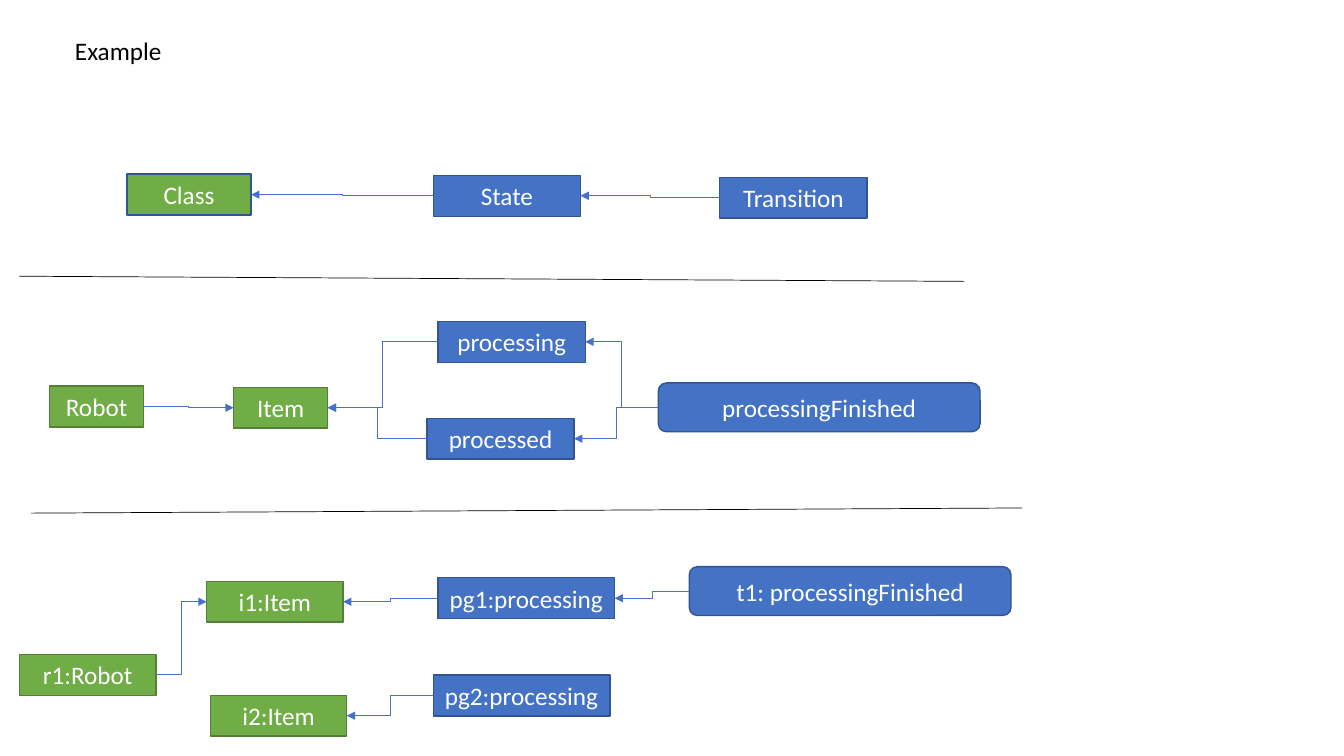
"""Build a slide showing a class, state and transition example on three levels."""
from lxml.etree import SubElement
from pptx import Presentation
from pptx.dml.color import RGBColor
from pptx.enum.shapes import MSO_CONNECTOR as Link, MSO_SHAPE as Preset
from pptx.enum.text import MSO_ANCHOR as Anchor, PP_ALIGN as Align
from pptx.oxml.ns import qn
from pptx.util import Cm, Pt

COLORS = {
    "green": "70AD47", "green_edge": "538035",
    "blue": "4472C4", "blue_edge": "325491",
    "white": "FFFFFF", "black": "000000",
}
FONT = {"name": "Calibri", "size": Pt(18)}
RECT, ROUND = Preset.RECTANGLE, Preset.ROUNDED_RECTANGLE
LEFT_SITE, RIGHT_SITE = 1, 3

STYLES = {
    "class": (RECT, 3.13, 1.03, "green", "blue_edge"),
    "type": (RECT, 2.37, 1.03, "green", "green_edge"),
    "object": (RECT, 3.44, 1.03, "green", "green_edge"),
    "state": (RECT, 3.71, 1.03, "blue", "blue_edge"),
    "state object": (RECT, 4.45, 1.03, "blue", "blue_edge"),
    "transition": (ROUND, 8.11, 1.23, "blue", "blue_edge"),
}
NODES = [
    ("Class", "class", 3.2, 4.39),
    ("State", "state", 10.92, 4.42),
    ("Transition", "state", 18.14, 4.47),
    ("Robot", "type", 1.25, 9.73),
    ("Item", "type", 5.89, 9.76),
    ("processing", "state", 11.04, 8.1),
    ("processed", "state", 10.76, 10.54),
    ("processingFinished", "transition", 16.59, 9.65),
    ("r1:Robot", "object", 0.49, 16.49),
    ("i1:Item", "object", 5.21, 14.65),
    ("i2:Item", "object", 5.3, 17.52),
    ("pg1:processing", "state object", 11.04, 14.56),
    ("pg2:processing", "state object", 10.92, 17.01),
    ("t1: processingFinished", "transition", 17.37, 14.28),
]
ARROWS = [
    ("State", "Class"),
    ("Transition", "State"),
    ("Robot", "Item"),
    ("processing", "Item"),
    ("processed", "Item"),
    ("processingFinished", "processing"),
    ("processingFinished", "processed"),
    ("r1:Robot", "i1:Item"),
    ("pg1:processing", "i1:Item"),
    ("pg2:processing", "i2:Item"),
    ("t1: processingFinished", "pg1:processing"),
]
DIVIDERS = [(0.49, 6.96, 24.3, 7.09), (0.78, 12.93, 25.76, 12.8)]


def rgb(color):
    return RGBColor.from_string(COLORS[color])


def write(shape, text, color, align, **frame_format):
    frame = shape.text_frame
    for key, value in frame_format.items():
        setattr(frame, key, value)
    paragraph = frame.paragraphs[0]
    paragraph.alignment = align
    run = paragraph.add_run()
    run.text = text
    for key, value in FONT.items():
        setattr(run.font, key, value)
    run.font.color.rgb = rgb(color)


def add_node(text, style, left, top):
    preset, width, height, fill, edge = STYLES[style]
    node = slide.shapes.add_shape(preset, Cm(left), Cm(top), Cm(width), Cm(height))
    node.shadow.inherit = False
    node.fill.solid()
    node.fill.fore_color.rgb = rgb(fill)
    node.line.color.rgb = rgb(edge)
    node.line.width = Pt(1)
    write(node, text, "white", Align.CENTER, word_wrap=False, vertical_anchor=Anchor.MIDDLE)
    return node


def add_link(kind, color, ends=(0, 0, 0, 0)):
    link = slide.shapes.add_connector(kind, *map(Cm, ends))
    link.line.color.rgb = rgb(color)
    link.line.width = Pt(0.5)
    SubElement(link._element.spPr, qn("a:effectLst"))
    return link


def add_arrow(source, target):
    arrow = add_link(Link.ELBOW, "blue")
    rightward = source.left < target.left
    arrow.begin_connect(source, RIGHT_SITE if rightward else LEFT_SITE)
    arrow.end_connect(target, LEFT_SITE if rightward else RIGHT_SITE)
    SubElement(arrow.line._get_or_add_ln(), qn("a:tailEnd"), type="triangle")


deck = Presentation()
deck.slide_width, deck.slide_height = Cm(33.87), Cm(19.05)
slide = deck.slides.add_slide(deck.slide_layouts[6])

title = slide.shapes.add_textbox(Cm(1.64), Cm(0.77), Cm(6.55), Cm(1.03))
write(title, "Example", "black", Align.LEFT, word_wrap=True)

for divider in DIVIDERS:
    add_link(Link.STRAIGHT, "black", divider)
nodes = {node[0]: add_node(*node) for node in NODES}
for source, target in ARROWS:
    add_arrow(nodes[source], nodes[target])

deck.save("out.pptx")
